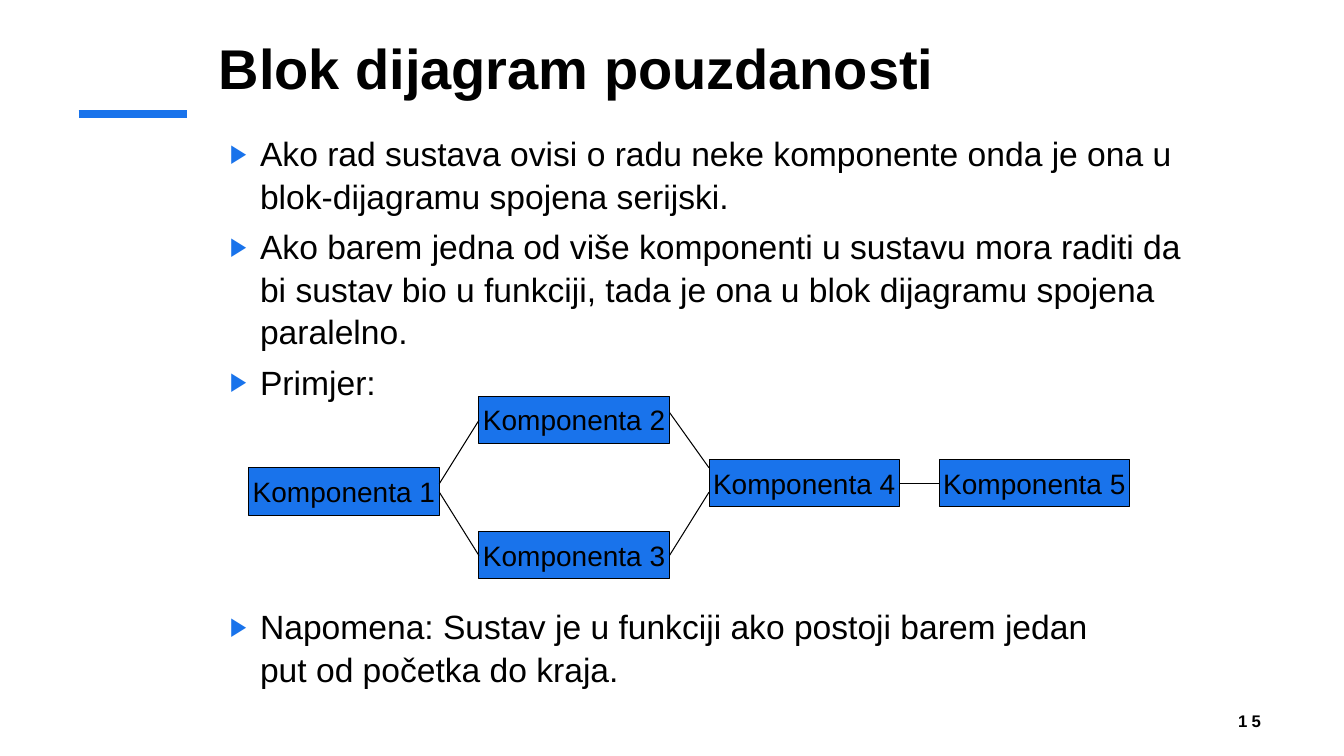
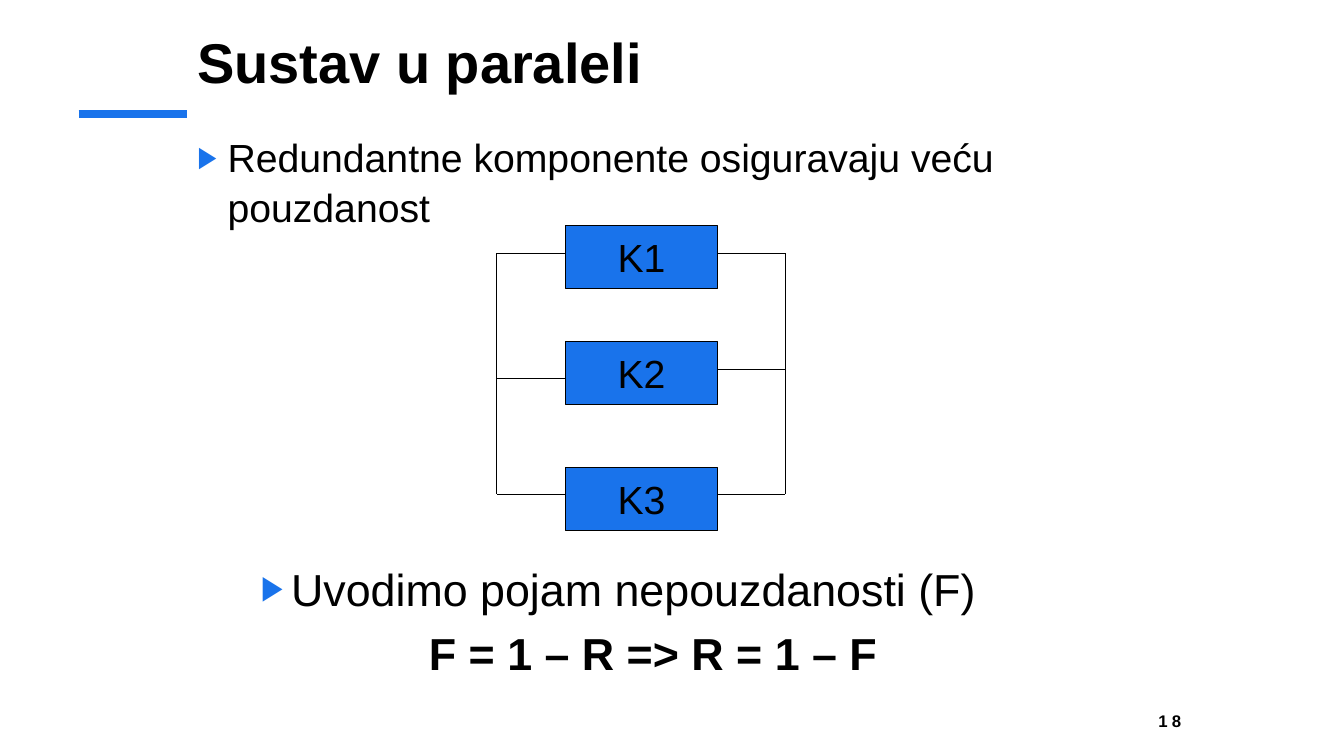
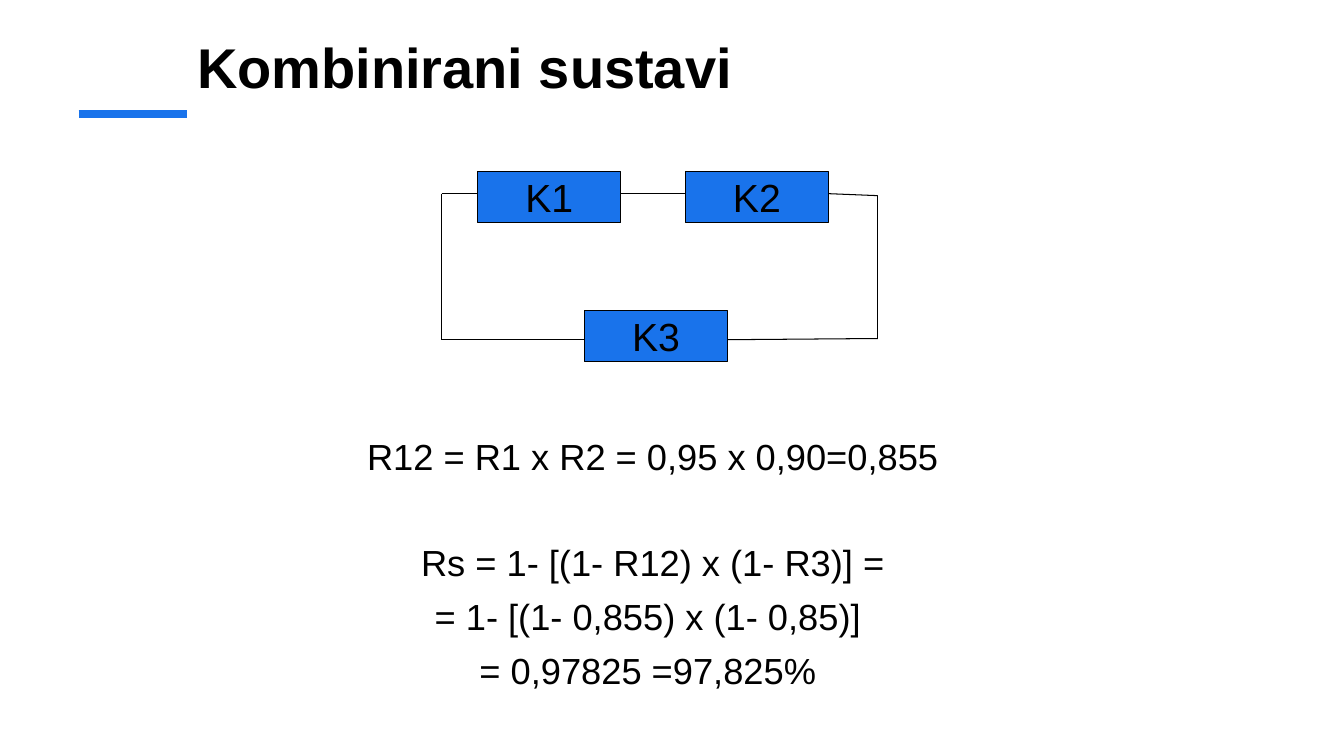
import dataclasses
import typing

import lxml.etree
import pptx
import pptx.dml.color
import pptx.enum.shapes
import pptx.enum.text
import pptx.oxml.ns
import pptx.util

Cm = pptx.util.Cm
Pt = pptx.util.Pt
ALIGN = pptx.enum.text.PP_ALIGN
ANCHOR = pptx.enum.text.MSO_ANCHOR
BLUE = "1973EB"
BLACK = "000000"
FONT = "Arial"
LINE_SPACING = 1.05
SPACE_BEFORE = 6
BLANK_LINE_SPACE = 43.2
BULLET_INDENT = Cm(0.76)
TITLE_HEIGHT = 2.06


class Box(typing.NamedTuple):
    left: float
    top: float
    width: float
    height: float


class Wire(typing.NamedTuple):
    x1: float
    y1: float
    x2: float
    y2: float


class Line(typing.NamedTuple):
    text: str
    bullet: bool = True
    bold: bool = False
    space_before: float = SPACE_BEFORE


class Block(typing.NamedTuple):
    label: str
    left: float
    top: float


@dataclasses.dataclass
class TextBlock:
    box: Box
    size: float
    lines: list[Line]


@dataclasses.dataclass
class Diagram:
    width: float
    height: float
    size: float
    blocks: list[Block]
    wires: list[Wire]


@dataclasses.dataclass
class Page:
    title: str
    title_box: Box
    texts: list[TextBlock]
    diagram: Diagram
    number: str = ""
    number_right: float = 0


def apply_format(target: typing.Any, values: dict[str, typing.Any]) -> None:
    for name, value in values.items():
        setattr(target, name, value)


def paint(fill: typing.Any, colour: str) -> None:
    fill.solid()
    fill.fore_color.rgb = pptx.dml.color.RGBColor.from_string(colour)


def place(shape: typing.Any, box: Box) -> None:
    apply_format(shape, {name: Cm(value) for name, value in box._asdict().items()})


def write(paragraph: typing.Any, text: str, size: float, bold: bool = False) -> typing.Any:
    run = paragraph.add_run()
    run.text = text
    apply_format(run.font, {"name": FONT, "size": Pt(size), "bold": bold})
    paint(run.font.fill, BLACK)
    return run


def set_bullet(paragraph: typing.Any, bullet: bool) -> None:
    properties = paragraph._p.get_or_add_pPr()
    indent = BULLET_INDENT if bullet else 0
    properties.set("marL", str(indent))
    properties.set("indent", str(-indent))

    def add(parent: typing.Any, tag: str, **attributes: str) -> typing.Any:
        return lxml.etree.SubElement(parent, pptx.oxml.ns.qn(tag), attributes)

    if bullet:
        add(add(properties, "a:buClr"), "a:srgbClr", val=BLUE)
        add(properties, "a:buSzPct", val="76000")
        add(properties, "a:buFont", typeface=FONT)
        add(properties, "a:buChar", char="▶")
    else:
        add(properties, "a:buNone")


def fill_text(placeholder: typing.Any, text_block: TextBlock) -> None:
    place(placeholder, text_block.box)
    frame = placeholder.text_frame
    apply_format(frame, {
        "auto_size": pptx.enum.text.MSO_AUTO_SIZE.NONE,
        "word_wrap": True,
        "vertical_anchor": ANCHOR.TOP,
    })
    for index, line in enumerate(text_block.lines):
        paragraph = frame.add_paragraph() if index else frame.paragraphs[0]
        set_bullet(paragraph, line.bullet)
        apply_format(paragraph, {
            "alignment": ALIGN.LEFT if line.bullet else ALIGN.CENTER,
            "line_spacing": LINE_SPACING,
            "space_before": Pt(line.space_before if index else 0),
        })
        write(paragraph, line.text, text_block.size, line.bold)


def add_title(slide: typing.Any, page: Page) -> None:
    title = slide.shapes.title
    place(title, page.title_box)
    apply_format(title.text_frame, {
        "auto_size": pptx.enum.text.MSO_AUTO_SIZE.NONE,
        "word_wrap": True,
        "vertical_anchor": ANCHOR.BOTTOM,
    })
    paragraph = title.text_frame.paragraphs[0]
    paragraph.alignment = ALIGN.LEFT
    write(paragraph, page.title, 40, True)


def add_wire(slide: typing.Any, wire: Wire, colour: str = BLACK, weight: float = 0.75) -> None:
    connector = slide.shapes.add_connector(
        pptx.enum.shapes.MSO_CONNECTOR.STRAIGHT, *(Cm(value) for value in wire))
    paint(connector.line.fill, colour)
    connector.line.width = Pt(weight)
    lxml.etree.SubElement(connector._element.spPr, pptx.oxml.ns.qn("a:effectLst"))


def add_diagram(slide: typing.Any, diagram: Diagram) -> None:
    for block in diagram.blocks:
        shape = slide.shapes.add_shape(
            pptx.enum.shapes.MSO_SHAPE.RECTANGLE, Cm(block.left), Cm(block.top),
            Cm(diagram.width), Cm(diagram.height))
        shape.shadow.inherit = False
        paint(shape.fill, BLUE)
        paint(shape.line.fill, BLACK)
        shape.line.width = Pt(0.75)
        apply_format(shape.text_frame, {"word_wrap": False, "vertical_anchor": ANCHOR.MIDDLE})
        paragraph = shape.text_frame.paragraphs[0]
        paragraph.alignment = ALIGN.CENTER
        write(paragraph, block.label, diagram.size)
    for wire in diagram.wires:
        add_wire(slide, wire)


def add_number(slide: typing.Any, page: Page) -> None:
    width = 2
    shape = slide.shapes.add_textbox(
        Cm(page.number_right - width), Cm(17.65), Cm(width), Cm(1.02))
    apply_format(shape.text_frame, {"word_wrap": True, "vertical_anchor": ANCHOR.MIDDLE})
    paragraph = shape.text_frame.paragraphs[0]
    paragraph.alignment = ALIGN.RIGHT
    run = write(paragraph, page.number, 12, True)
    run._r.get_or_add_rPr().set("spc", "300")


def add_page(presentation: typing.Any, page: Page) -> None:
    layout = presentation.slide_layouts[3 if len(page.texts) == 2 else 1]
    slide = presentation.slides.add_slide(layout)
    add_wire(slide, Wire(1.98, 2.87, 4.7, 2.87), BLUE, 6)
    add_title(slide, page)
    for index, text_block in enumerate(page.texts, start=1):
        fill_text(slide.placeholders[index], text_block)
    add_diagram(slide, page.diagram)
    if page.number:
        add_number(slide, page)


def reliability_page() -> Page:
    width = 4.8
    columns = [6.27 + 5.8 * index for index in range(4)]
    ends = [column + width for column in columns]
    tops = [11.79, 9.98, 13.39, 11.58, 11.58]
    lefts = [columns[index] for index in (0, 1, 1, 2, 3)]
    return Page(
        "Blok dijagram pouzdanosti",
        Box(5.26, 0.6, 23.8, TITLE_HEIGHT),
        [
            TextBlock(Box(5.54, 3.18, 24.49, 14.22), 24, [
                Line("Ako rad sustava ovisi o radu neke komponente onda je ona u "
                     "blok-dijagramu spojena serijski."),
                Line("Ako barem jedna od više komponenti u sustavu mora raditi da bi sustav "
                     "bio u funkciji, tada je ona u blok dijagramu spojena paralelno."),
                Line("Primjer:"),
            ]),
            TextBlock(Box(5.54, 15.1, 23.27, 2.62), 24, [
                Line("Napomena: Sustav je u funkciji ako postoji barem jedan put od "
                     "početka do kraja."),
            ]),
        ],
        Diagram(
            width, 1.19, 20,
            [Block(f"Komponenta {number}", left, top)
             for number, (left, top) in enumerate(zip(lefts, tops), start=1)],
            [
                Wire(ends[0], 12.19, columns[1], 10.59),
                Wire(ends[0], 12.4, columns[1], 14),
                Wire(ends[1], 10.39, columns[2], 11.79),
                Wire(ends[1], 14, columns[2], 12.4),
                Wire(ends[2], 12.19, columns[3], 12.19),
            ],
        ),
        "15", 32.03,
    )


def parallel_page() -> Page:
    left, width = 14.25, 3.84
    right = left + width
    left_rail, right_rail = 12.52, 19.79
    first, last = 6.38, 12.45
    return Page(
        "Sustav u paraleli",
        Box(4.72, 0.46, 22.86, TITLE_HEIGHT),
        [
            TextBlock(Box(4.72, 3.18, 25.58, 2.34), 28, [
                Line("Redundantne komponente osiguravaju veću pouzdanost"),
            ]),
            TextBlock(Box(6.32, 13.95, 20.29, 3.73), 32, [
                Line("Uvodimo pojam nepouzdanosti (F)"),
                Line("F = 1 – R => R = 1 – F", bullet=False, bold=True),
            ]),
        ],
        Diagram(
            width, 1.58, 28,
            [Block(f"K{number}", left, top)
             for number, top in enumerate((5.69, 8.61, 11.79), start=1)],
            [Wire(rail, first, rail, last) for rail in (left_rail, right_rail)]
            + [Wire(left_rail, y, left, y) for y in (first, 9.53, last)]
            + [Wire(right, y, right_rail, y) for y in (first, 9.3, last)],
        ),
        "18", 30.02,
    )


def combined_page() -> Page:
    width = 3.61
    first, second, third = 12.04, 17.27, 14.73
    left_rail, right_rail = 11.13, 22.12
    upper, lower = 4.88, 8.56
    upper_right, lower_right = 4.93, 8.53
    return Page(
        "Kombinirani sustavi",
        Box(4.72, 0.58, 22.86, TITLE_HEIGHT),
        [
            TextBlock(Box(7.92, 10.76, 17.07, 5.72), 25.9, [
                Line("R12 = R1 x R2 = 0,95 x 0,90=0,855", bullet=False),
                Line("Rs = 1- [(1- R12) x (1- R3)] =", bullet=False,
                     space_before=BLANK_LINE_SPACE),
                Line("= 1- [(1- 0,855) x (1- 0,85)] ", bullet=False),
                Line("= 0,97825 =97,825% ", bullet=False),
            ]),
        ],
        Diagram(
            width, 1.3, 28,
            [Block("K1", first, 4.32), Block("K2", second, 4.32), Block("K3", third, 7.82)],
            [
                Wire(left_rail, upper, first, upper),
                Wire(first + width, upper, second, upper),
                Wire(second + width, upper, right_rail, upper_right),
                Wire(left_rail, upper, left_rail, lower),
                Wire(left_rail, lower, third, lower),
                Wire(third + width, lower, right_rail, lower_right),
                Wire(right_rail, upper_right, right_rail, lower_right),
            ],
        ),
    )


def main() -> None:
    presentation = pptx.Presentation()
    apply_format(presentation, {"slide_width": Cm(33.87), "slide_height": Cm(19.05)})
    for page in (reliability_page(), parallel_page(), combined_page()):
        add_page(presentation, page)
    presentation.save("out.pptx")


if __name__ == "__main__":
    main()
